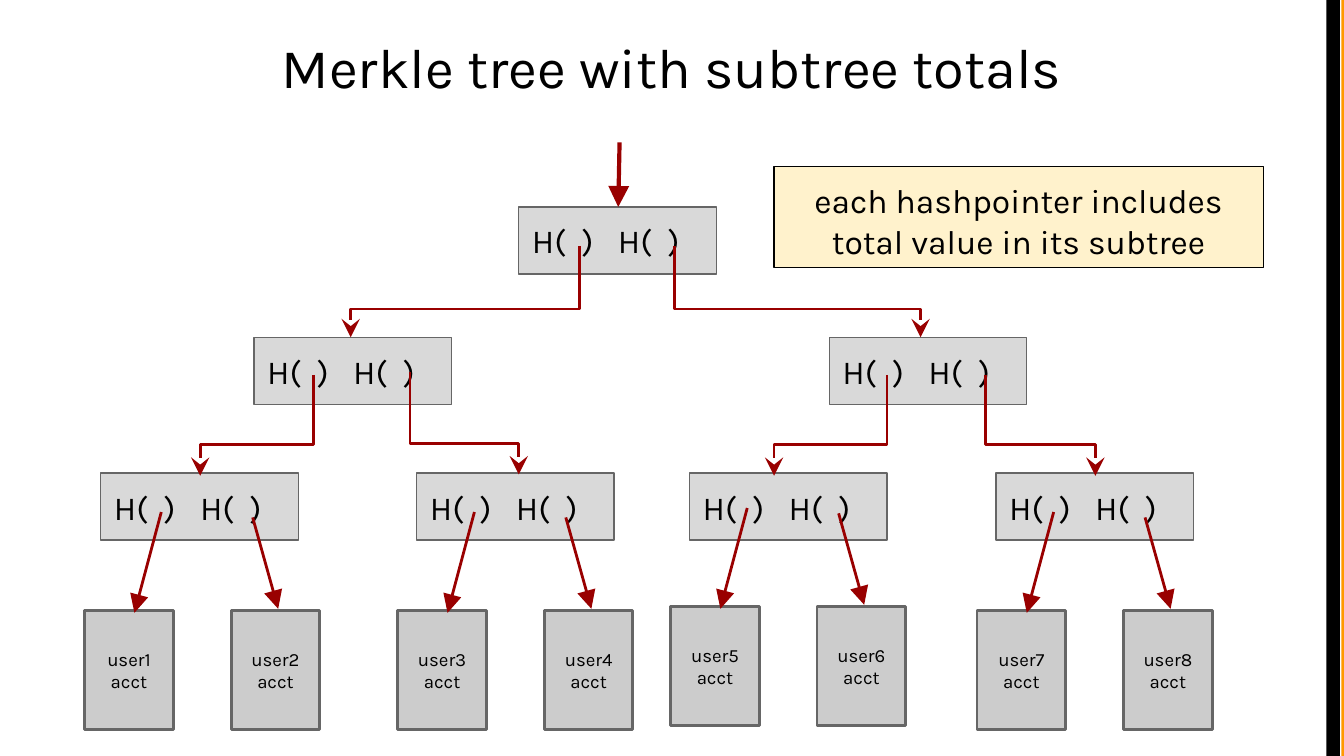
from lxml import etree
from pptx import Presentation
from pptx.dml.color import RGBColor
from pptx.enum.shapes import MSO_CONNECTOR, MSO_SHAPE
from pptx.enum.text import MSO_ANCHOR, PP_ALIGN
from pptx.oxml.ns import qn
from pptx.util import Inches, Pt

RECTANGLE = MSO_SHAPE.RECTANGLE
STRAIGHT = MSO_CONNECTOR.STRAIGHT
TOP, MIDDLE = MSO_ANCHOR.TOP, MSO_ANCHOR.MIDDLE
LEFT, CENTER = PP_ALIGN.LEFT, PP_ALIGN.CENTER

FONT = "Karla"
BLACK = RGBColor(0x00, 0x00, 0x00)
ORANGE = RGBColor(0xFF, 0x99, 0x00)
NODE_GRAY = RGBColor(0xD9, 0xD9, 0xD9)
LEAF_GRAY = RGBColor(0xCC, 0xCC, 0xCC)
OUTLINE_GRAY = RGBColor(0x66, 0x66, 0x66)
POINTER_RED = RGBColor(0x99, 0x00, 0x00)
CREAM = RGBColor(0xFF, 0xF2, 0xCC)

# The slide is a grid of square cells, 100 columns by 56.25 rows.
CELL = Inches(0.1)
COLUMNS, ROWS = 100, 56.25

NODE_W, NODE_H = 14.7, 5
NODE_TABS = (3.7, 6.4, 10.1)
ROOT_ROW, BRANCH_ROW, TWIG_ROW = 15.4, 25.1, 35.2
LEAF_W, LEAF_H, LEAF_STEP = 6.6, 8.9, 10.9

# Left column of each leaf pair, left column of its parent, row shift.
LEAF_PAIRS = ((6.3, 7.5, 0), (29.6, 31, 0), (49.9, 51.3, -0.3), (72.7, 74.1, 0))
# Start column, end column, then start, bend and end rows.
ROOT_LINKS = ((43.1, 26.1, 18.3, 23, 25.1), (50.2, 68.5, 18.3, 23, 25.1))
BRANCH_LINKS = (
    (23.3, 14.9, 27.9, 33.1, 35.4),
    (30.5, 38.6, 27.7, 33, 35.3),
    (66, 57.6, 27.9, 33.1, 35.4),
    (73.3, 81.5, 27.9, 33.1, 35.4),
)


def cells(*counts):
    return [round(count * CELL) for count in counts]


def write(shape, text, size, align, anchor):
    frame = shape.text_frame
    frame.text = text
    frame.word_wrap = True
    frame.vertical_anchor = anchor
    frame.margin_left = frame.margin_right = CELL
    frame.margin_top = frame.margin_bottom = CELL
    for paragraph in frame.paragraphs:
        paragraph.alignment = align
        for run in paragraph.runs:
            run.font.name = FONT
            run.font.size = Pt(size)
            run.font.color.rgb = BLACK


def add_box(shapes, place, fill, outline=None, weight=0.75):
    box = shapes.add_shape(RECTANGLE, *cells(*place))
    box.shadow.inherit = False
    box.fill.solid()
    box.fill.fore_color.rgb = fill
    if outline is None:
        box.line.fill.background()
    else:
        box.line.color.rgb = outline
        box.line.width = Pt(weight)
    return box


def add_node(shapes, column, row):
    """Add a hash box holding two hash pointers, spaced by tab stops."""
    node = add_box(shapes, (column, row, NODE_W, NODE_H), NODE_GRAY, OUTLINE_GRAY)
    write(node, "H(\t)\tH(\t)", 18, LEFT, TOP)
    properties = node.text_frame.paragraphs[0]._p.get_or_add_pPr()
    stops = etree.SubElement(properties, qn("a:tabLst"))
    for position in cells(*NODE_TABS):
        etree.SubElement(stops, qn("a:tab"), pos=str(position), algn="l")


def style_pointer(pointer, head, weight):
    pointer.line.color.rgb = POINTER_RED
    pointer.line.width = Pt(weight)
    outline = pointer._element.spPr.find(qn("a:ln"))
    etree.SubElement(outline, qn("a:tailEnd"), type=head, w="lg", len="lg")


def add_arrow(shapes, start, end, weight=1.5):
    arrow = shapes.add_connector(STRAIGHT, *cells(*start, *end))
    style_pointer(arrow, "triangle", weight)
    etree.SubElement(arrow._element.spPr, qn("a:effectLst"))


def add_link(shapes, start, end, top, bend, bottom):
    """Add a stepped pointer from a hash down to the box it covers."""
    builder = shapes.build_freeform(*cells(start, top))
    corners = ((start, bend), (end, bend), (end, bottom))
    builder.add_line_segments([cells(*corner) for corner in corners], close=False)
    link = builder.convert_to_shape()
    link.shadow.inherit = False
    link.fill.background()
    style_pointer(link, "stealth", 1.5)


def add_leaf(shapes, column, row, user):
    leaf = add_box(shapes, (column, row, LEAF_W, LEAF_H), LEAF_GRAY, OUTLINE_GRAY, 1.5)
    write(leaf, f"user{user}\nacct", 10, CENTER, MIDDLE)


def add_leaf_pair(slide, column, shift, first_user):
    shapes = slide.shapes.add_group_shape().shapes
    row = 45.4 + shift
    add_leaf(shapes, column, row, first_user)
    add_arrow(shapes, (column + 5.7, row - 7.3), (column + 3.7, row + 0.2))
    add_leaf(shapes, column + LEAF_STEP, row, first_user + 1)
    add_arrow(shapes, (column + 12.5, row - 6.9), (column + 14.4, row - 0.1))


def add_tree(slide):
    shapes = slide.shapes
    add_node(shapes, 38.6, ROOT_ROW)
    for column in (18.9, 61.7):
        add_node(shapes, column, BRANCH_ROW)
    for link in ROOT_LINKS:
        add_link(shapes, *link)
    for _, column, _ in LEAF_PAIRS:
        add_node(shapes, column, TWIG_ROW)
    for link in BRANCH_LINKS:
        add_link(shapes, *link)
    for index, (column, _, shift) in enumerate(LEAF_PAIRS):
        add_leaf_pair(slide, column, shift, 2 * index + 1)
    add_arrow(shapes, (46.1, 10.6), (46, ROOT_ROW), 2.25)


def main():
    deck = Presentation()
    deck.slide_width, deck.slide_height = cells(COLUMNS, ROWS)
    slide = deck.slides.add_slide(deck.slide_layouts[6])
    shapes = slide.shapes

    add_box(shapes, (99.8, 0, 0.2, ROWS), ORANGE)
    add_box(shapes, (98.7, 0, 1, ROWS), BLACK)
    title = shapes.add_textbox(*cells(5, 1.4, 90, 7.5))
    write(title, "Merkle tree with subtree totals", 30, CENTER, TOP)
    add_tree(slide)
    callout = add_box(shapes, (57.6, 12.4, 36.4, 7.5), CREAM, BLACK)
    write(callout, "each hashpointer includes total value in its subtree", 18, CENTER, TOP)

    deck.save("out.pptx")


if __name__ == "__main__":
    main()
